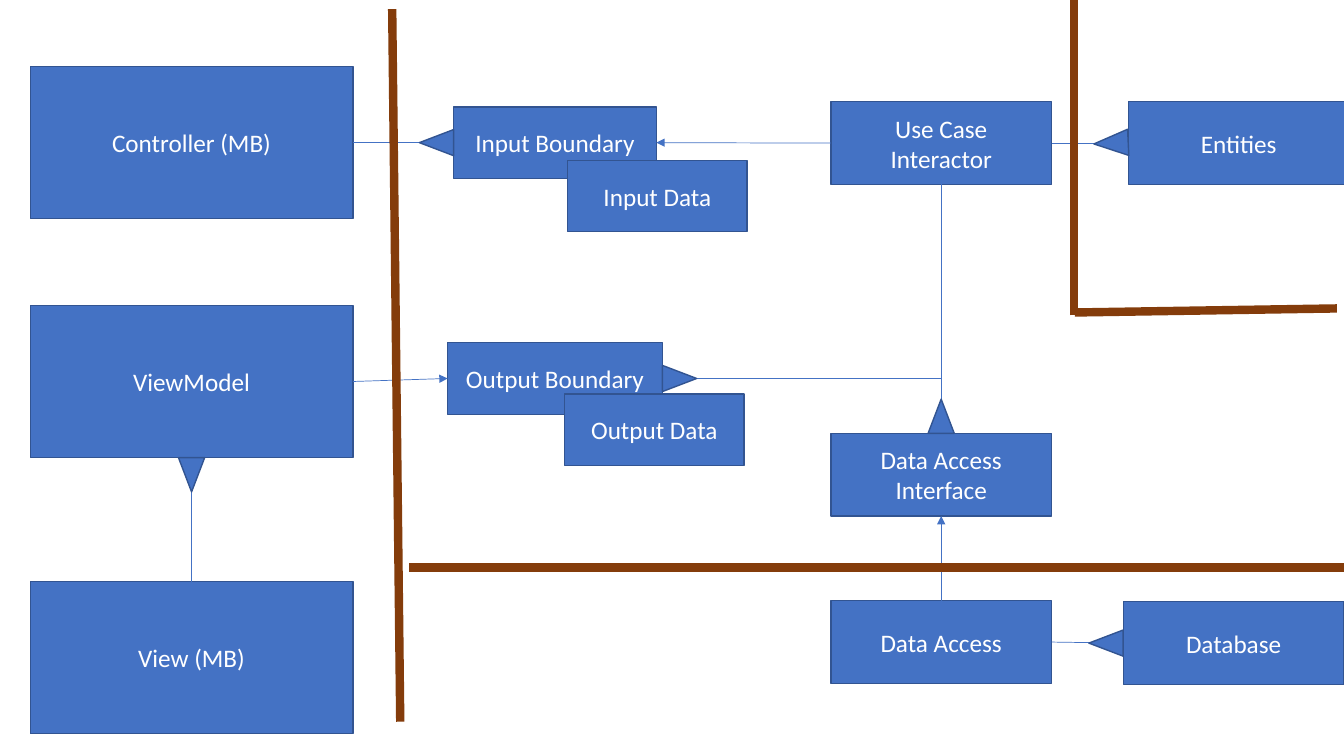
from lxml import etree
from pptx import Presentation
from pptx import util as u
from pptx.dml.color import RGBColor
from pptx.enum import shapes, text
from pptx.oxml.ns import qn

THEME = dict(fill="4472C4", edge="325491", text="FFFFFF", divider="843C0B",
             font="Calibri", size=18, edge_w=1, link_w=0.5, divider_w=6)

PANEL, DATA, UNIT = (3.2, 1.51), (1.78, 0.71), (2.19, 0.82)
BOXES = {
    "controller": ("Controller (MB)", 0.3, 0.66, PANEL),
    "viewmodel": ("ViewModel", 0.3, 3.03, PANEL),
    "view": ("View (MB)", 0.3, 5.77, PANEL),
    "input": ("Input Boundary", 4.5, 1.06, (2.01, 0.71)),
    "input data": ("Input Data", 5.63, 1.59, DATA),
    "output": ("Output Boundary", 4.44, 3.4, (2.13, 0.71)),
    "output data": ("Output Data", 5.6, 3.91, DATA),
    "interactor": ("Use Case\nInteractor", 8.24, 1.01, UNIT),
    "interface": ("Data Access\nInterface", 8.24, 4.3, UNIT),
    "access": ("Data Access", 8.24, 5.96, UNIT),
    "entities": ("Entities", 11.19, 1.01, UNIT),
    "database": ("Database", 11.14, 5.97, UNIT),
}
LINKS = [
    ("viewmodel", "right", "output", "left", True),
    ("view", "top", "viewmodel", "bottom", False),
    ("controller", "right", "input", "left", False),
    ("interactor", "left", "input", "right", True),
    ("interactor", "bottom", "interface", "top", False),
    ("interactor", "right", "entities", "left", False),
    ("access", "top", "interface", "bottom", True),
    ("access", "right", "database", "left", False),
]
POINTERS = [("viewmodel", "bottom", 0), ("input", "left", 0), ("interface", "top", 0),
            ("entities", "left", -2.7), ("output", "right", 0), ("database", "left", 0)]
DIVIDERS = [(3.89, 0.09, 3.97, 7.16), (4.06, 5.63, 13.34, 5.63),
            (10.65, 3.13, 10.65, 0), (13.26, 3.06, 10.66, 3.1)]
SIDES = {"top": (0, 0, -1, 0), "left": (1, -1, 0, 270),
         "bottom": (2, 0, 1, 180), "right": (3, 1, 0, 90)}
TIP_W, TIP_H = 0.26, 0.34

prs = Presentation()
prs.slide_width, prs.slide_height = u.Inches(13.33), u.Inches(7.5)
s = prs.slides.add_slide(prs.slide_layouts[6])


def color(name):
    return RGBColor.from_string(THEME[name])


def write(sp, content, size=THEME["size"], font=THEME["font"], fill="text"):
    tf = sp.text_frame
    tf.text = content
    tf.word_wrap = True
    tf.vertical_anchor = text.MSO_ANCHOR.MIDDLE
    for p in tf.paragraphs:
        p.alignment = text.PP_ALIGN.CENTER
        for r in p.runs:
            r.font.size, r.font.name = u.Pt(size), font
            r.font.color.rgb = color(fill)


def add_block(kind, x, y, w, h):
    sp = s.shapes.add_shape(kind, *map(u.Inches, (x, y, w, h)))
    sp.shadow.inherit = False
    sp.fill.solid()
    sp.fill.fore_color.rgb = color("fill")
    sp.line.color.rgb = color("edge")
    sp.line.width = u.Pt(THEME["edge_w"])
    return sp


def add_line(points, stroke, width, arrow=False):
    cx = s.shapes.add_connector(shapes.MSO_CONNECTOR.STRAIGHT, *map(u.Inches, points))
    cx.line.color.rgb = color(stroke)
    cx.line.width = u.Pt(THEME[width])
    if arrow:
        etree.SubElement(cx.line._get_or_add_ln(), qn("a:tailEnd"), type="triangle")
    etree.SubElement(cx._element.spPr, qn("a:effectLst"))
    return cx


def midpoint(name, side):
    _, x, y, (w, h) = BOXES[name]
    _, dx, dy, _ = SIDES[side]
    return x + w * (1 + dx) / 2, y + h * (1 + dy) / 2


blocks = {}
for name, (label, x, y, (w, h)) in BOXES.items():
    blocks[name] = add_block(shapes.MSO_SHAPE.RECTANGLE, x, y, w, h)
    write(blocks[name], label)

for start, out, end, into, arrow in LINKS:
    cx = add_line(midpoint(start, out) + midpoint(end, into), "fill", "link_w", arrow)
    cx.begin_connect(blocks[start], SIDES[out][0])
    cx.end_connect(blocks[end], SIDES[into][0])

x, y = midpoint("output", "right")
trunk_x, _ = midpoint("interactor", "bottom")
add_line((x, y, trunk_x, y), "fill", "link_w").begin_connect(blocks["output"], SIDES["right"][0])

for name, side, tilt in POINTERS:
    x, y = midpoint(name, side)
    _, dx, dy, turn = SIDES[side]
    tip = add_block(shapes.MSO_SHAPE.ISOSCELES_TRIANGLE,
                    x + dx * TIP_H / 2 - TIP_W / 2, y + dy * TIP_H / 2 - TIP_H / 2,
                    TIP_W, TIP_H)
    tip.rotation = turn + tilt

for points in DIVIDERS:
    add_line(points, "divider", "divider_w")

prs.save("out.pptx")
